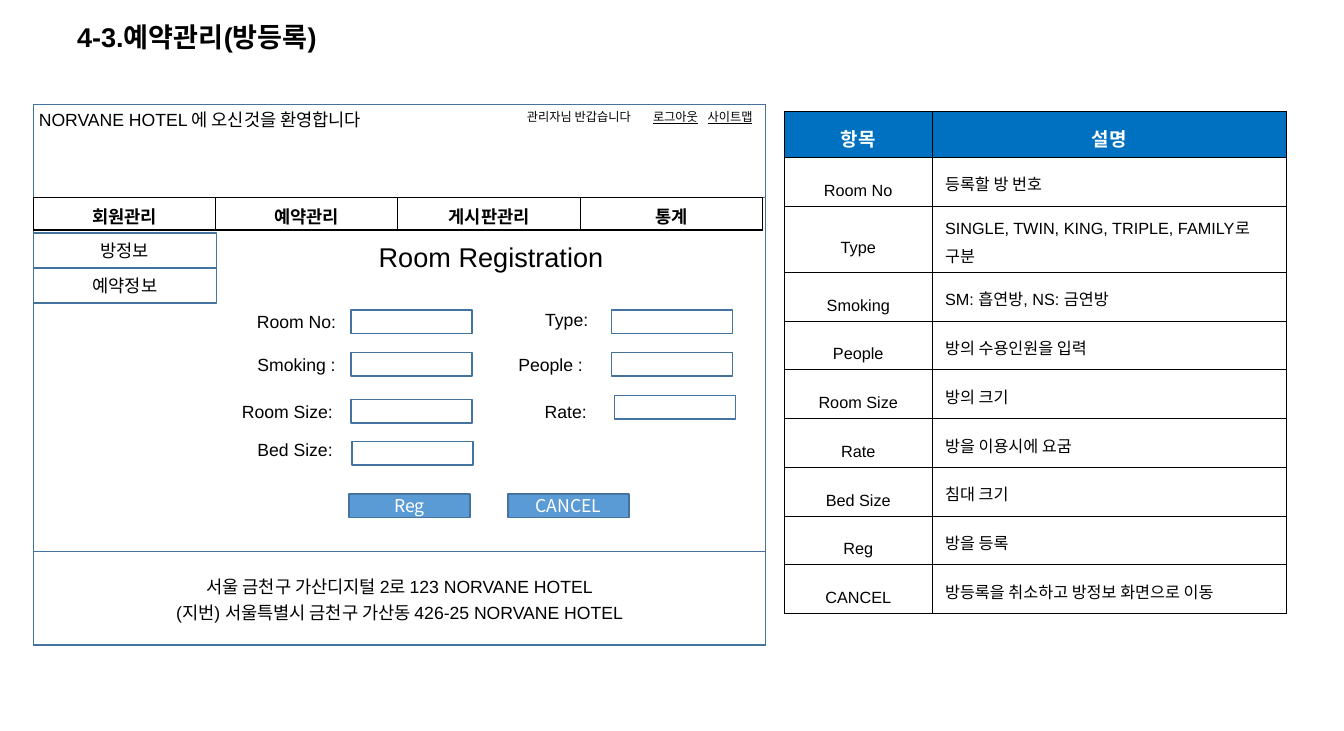
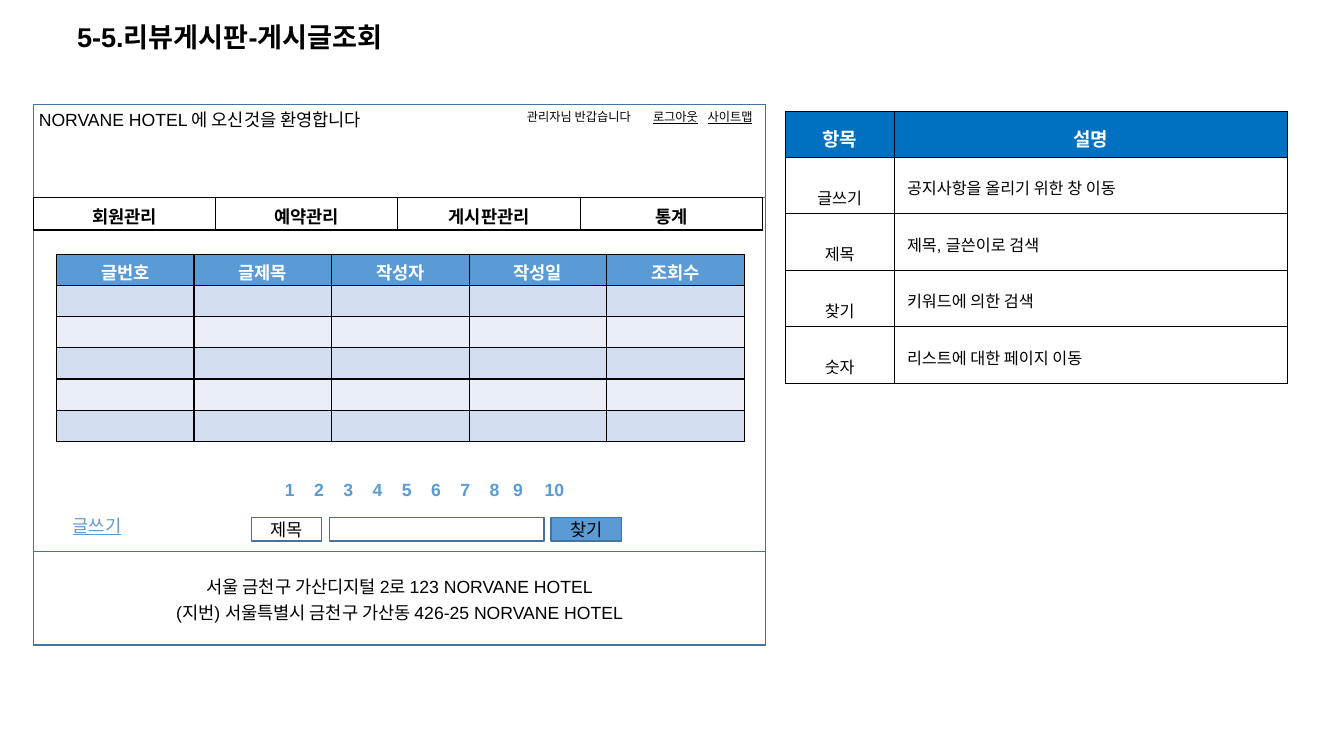
from lxml import etree
from pptx import Presentation
from pptx.dml.color import RGBColor
from pptx.enum import shapes, text
from pptx.oxml import ns
from pptx.util import Inches, Pt

# Shared style
BLACK, WHITE, BLUE, EDGE, HEADER = "000000", "FFFFFF", "5B9BD5", "43739E", "0070C0"
BANDS = ("D2DEEF", "EAEFF7")
LATIN, KOREAN = "Arial", "Noto Sans CJK KR"
BODY, SMALL, HEADING = 13, 9, 20
CENTER, LEFT = text.PP_ALIGN.CENTER, text.PP_ALIGN.LEFT
MIDDLE, TOP = text.MSO_ANCHOR.MIDDLE, text.MSO_ANCHOR.TOP

# Frame of the mock-up screen
FRAME_X, FRAME_Y, FRAME_W, FRAME_H, BAND_H = 0.34, 1.07, 7.51, 5.55, 0.96
FOOTER_Y = FRAME_Y + FRAME_H - BAND_H
WELCOME = "NORVANE HOTEL 에 오신것을 환영합니다"
ACCOUNT = [("관리자님 반갑습니다", 5.25, 1.37, False),
           ("로그아웃", 6.57, 0.71, True),
           ("사이트맵", 7.13, 0.71, True)]
MENU = ["회원관리", "예약관리", "게시판관리", "통계"]
ADDRESS = ["서울 금천구 가산디지털 2로 123 NORVANE HOTEL",
           "(지번) 서울특별시 금천구 가산동 426-25 NORVANE HOTEL"]

# Room registration
ROOM_TITLE = "4-3.예약관리(방등록)"
ROOM_NOTES = [("Room No", "등록할 방 번호"),
              ("Type", "SINGLE, TWIN, KING, TRIPLE, FAMILY로 구분"),
              ("Smoking", "SM: 흡연방, NS: 금연방"),
              ("People", "방의 수용인원을 입력"),
              ("Room Size", "방의 크기"),
              ("Rate", "방을 이용시에 요굼"),
              ("Bed Size", "침대 크기"),
              ("Reg", "방을 등록"),
              ("CANCEL", "방등록을 취소하고 방정보 화면으로 이동")]
SIDE_MENU = ["방정보", "예약정보"]
# label, label left, top and width, field left and top
FIELDS = [("Room No:", 2.52, 3.14, 1.04, 3.6, 3.18),
          ("Type:", 5.17, 3.12, 1.28, 6.27, 3.18),
          ("Smoking :", 2.52, 3.58, 1.04, 3.6, 3.62),
          ("People : ", 5.03, 3.58, 1.28, 6.27, 3.62),
          ("Room Size: ", 2.33, 4.06, 1.28, 3.6, 4.1),
          ("Rate:", 5.33, 4.06, 0.94, 6.3, 4.06),
          ("Bed Size: ", 2.41, 4.45, 1.28, 3.61, 4.53)]
BUTTONS = [("Reg", 3.58), ("CANCEL", 5.21)]
FIELD_W, FIELD_H, LABEL_H = 1.24, 0.24, 0.32

# Review board
BOARD_TITLE = "5-5.리뷰게시판-게시글조회"
BOARD_NOTES = [("글쓰기", "공지사항을 올리기 위한 창 이동"),
               ("제목", "제목, 글쓴이로 검색"),
               ("찾기", "키워드에 의한 검색"),
               ("숫자", "리스트에 대한 페이지 이동")]
BOARD_COLUMNS = ["글번호", "글제목", "작성자", "작성일", "조회수"]
BOARD_ROWS = 5
PAGE_WIDTHS = [0.3] * 7 + [0.24, 0.29, 0.47]
SEARCH = [("제목", 2.58, 0.72, None), ("", 3.38, 2.2, None), ("찾기", 5.65, 0.72, BLUE)]


def rgb(color):
    return RGBColor.from_string(color)


def inches(*lengths):
    return [Inches(length) for length in lengths]


def write(frame, lines, size=BODY, color=BLACK, font=LATIN, bold=False, underline=False,
          align=CENTER, anchor=TOP, spacing=None, before=0.3, after=0):
    """Fill a text frame; before and after are shares of the text size."""
    frame.word_wrap = True
    frame.vertical_anchor = anchor
    for number, line in enumerate(lines):
        para = frame.add_paragraph() if number else frame.paragraphs[0]
        para.alignment = align
        para.space_before, para.space_after = Pt(before * size), Pt(after * size)
        if spacing:
            para.line_spacing = spacing
        if not line:
            para._p.get_or_add_endParaRPr().set("sz", str(size * 100))
            continue
        span = para.add_run()
        span.text = line
        span.font.size, span.font.bold, span.font.underline = Pt(size), bold, underline
        span.font.name = font
        span.font.color.rgb = rgb(color)
        east = etree.SubElement(span._r.get_or_add_rPr(), ns.qn("a:ea"))
        east.set("typeface", KOREAN)


def add_label(page, lines, x, y, w, h, **style):
    box = page.shapes.add_textbox(*inches(x, y, w, h))
    write(box.text_frame, lines, **style)


def add_box(page, x, y, w, h, label="", fill=None, color=BLACK):
    box = page.shapes.add_shape(shapes.MSO_SHAPE.RECTANGLE, *inches(x, y, w, h))
    box.shadow.inherit = False
    box.line.color.rgb, box.line.width = rgb(EDGE), Pt(1)
    if fill:
        box.fill.solid()
        box.fill.fore_color.rgb = rgb(fill)
    else:
        box.fill.background()
    if label:
        write(box.text_frame, [label], font=KOREAN, color=color, anchor=MIDDLE)


def add_grid(page, x, y, widths, heights):
    grid = page.shapes.add_table(len(heights), len(widths),
                                 *inches(x, y, sum(widths), sum(heights))).table
    grid.first_row = grid.horz_banding = False
    for column, width in zip(grid.columns, widths):
        column.width = Inches(width)
    for row, height in zip(grid.rows, heights):
        row.height = Inches(height)
    return grid


def set_cell(cell, value, fill=None, border=BLACK, weight=1, margin=0.1, **style):
    props = cell._tc.get_or_add_tcPr()
    for side in ("lnL", "lnR", "lnT", "lnB"):
        line = etree.SubElement(props, ns.qn("a:" + side), w=str(int(Pt(weight))))
        solid = etree.SubElement(line, ns.qn("a:solidFill"))
        etree.SubElement(solid, ns.qn("a:srgbClr"), val=border)
    if fill:
        cell.fill.solid()
        cell.fill.fore_color.rgb = rgb(fill)
    else:
        cell.fill.background()
    cell.margin_left = cell.margin_right = Inches(margin)
    anchor = style.pop("anchor", TOP)
    write(cell.text_frame, [value], **style)
    cell.vertical_anchor = anchor


def add_notes_table(page, x, widths, notes, heights):
    """Table of items and their meaning, right of the screen."""
    grid = add_grid(page, x, 1.14, widths, [0.47] + heights)
    shared = dict(weight=0.25, margin=0.13, anchor=MIDDLE)
    for column, name in enumerate(("항목", "설명")):
        set_cell(grid.cell(0, column), name, HEADER, size=14, color=WHITE, bold=True,
                 spacing=1.3, before=0, after=0.2, **shared)
    for row, note in enumerate(notes, 1):
        for column, (align, spacing) in enumerate(((CENTER, 2.0), (LEFT, 1.2))):
            set_cell(grid.cell(row, column), note[column], WHITE, size=12, align=align,
                     spacing=spacing, before=0.1, **shared)


def add_screen(deck, title):
    """New page with title, screen frame, menu and address."""
    page = deck.slides.add_slide(deck.slide_layouts[5])
    head = page.shapes.title
    head.left, head.top, head.width, head.height = inches(0.69, 0.21, 11.89, 0.38)
    head.text_frame.auto_size = text.MSO_AUTO_SIZE.NONE
    write(head.text_frame, [title], size=HEADING, bold=True, align=LEFT, anchor=MIDDLE,
          spacing=0.9, before=0)

    for y, h in ((FRAME_Y, FRAME_H), (FRAME_Y, BAND_H), (FOOTER_Y, BAND_H)):
        add_box(page, FRAME_X, y, FRAME_W, h)
    add_label(page, [WELCOME], 0.3, FRAME_Y, 3.86, LABEL_H, align=LEFT)
    for label, x, w, underline in ACCOUNT:
        add_label(page, [label], x, FRAME_Y, w, 0.25, size=SMALL, underline=underline)
    menu = add_grid(page, FRAME_X, FRAME_Y + BAND_H, [1.87] * len(MENU), [0.33])
    for column, name in enumerate(MENU):
        set_cell(menu.cell(0, column), name, bold=True)
    add_label(page, ADDRESS, FRAME_X, 5.86, FRAME_W, 0.6)
    return page


def build_room_page(deck):
    page = add_screen(deck, ROOM_TITLE)
    heights = [0.68 if name == "Type" else 0.47 for name, _ in ROOM_NOTES]
    add_notes_table(page, 8.04, [1.52, 3.63], ROOM_NOTES, heights)
    add_label(page, ["Room Registration"], 2.28, 2.42, 5.51, 0.44, size=HEADING)
    for row, name in enumerate(SIDE_MENU):
        add_box(page, FRAME_X, 2.39 + 0.36 * row, 1.88, 0.36, name)
    for label, x, y, w, field_x, field_y in FIELDS:
        add_label(page, [label], x, y, w, LABEL_H)
        add_box(page, field_x, field_y, FIELD_W, FIELD_H)
    for label, x in BUTTONS:
        add_box(page, x, 5.07, FIELD_W, FIELD_H, label, BLUE, WHITE)


def build_board_page(deck):
    page = add_screen(deck, BOARD_TITLE)
    add_notes_table(page, 8.05, [1.12, 4.03], BOARD_NOTES, [0.58] * len(BOARD_NOTES))

    # Post list
    board = add_grid(page, 0.58, 2.61, [1.41] * len(BOARD_COLUMNS),
                     [0.32] * (BOARD_ROWS + 1))
    for column, name in enumerate(BOARD_COLUMNS):
        set_cell(board.cell(0, column), name, BLUE, color=WHITE, bold=True)
        for row in range(BOARD_ROWS):
            set_cell(board.cell(row + 1, column), "", BANDS[row % 2])

    # Page numbers, search line and link
    numbers = add_grid(page, 2.82, 4.88, PAGE_WIDTHS, [0.32])
    for column in range(len(PAGE_WIDTHS)):
        set_cell(numbers.cell(0, column), str(column + 1), border=WHITE, color=BLUE, bold=True)
    for label, x, w, fill in SEARCH:
        add_box(page, x, 5.31, w, FIELD_H, label, fill)
    add_label(page, ["글쓰기"], 0.62, 5.23, 0.75, LABEL_H, color=BLUE, underline=True)


def main():
    deck = Presentation()
    deck.slide_width, deck.slide_height = inches(13.78, 7.5)
    build_room_page(deck)
    build_board_page(deck)
    deck.save("out.pptx")


if __name__ == "__main__":
    main()
